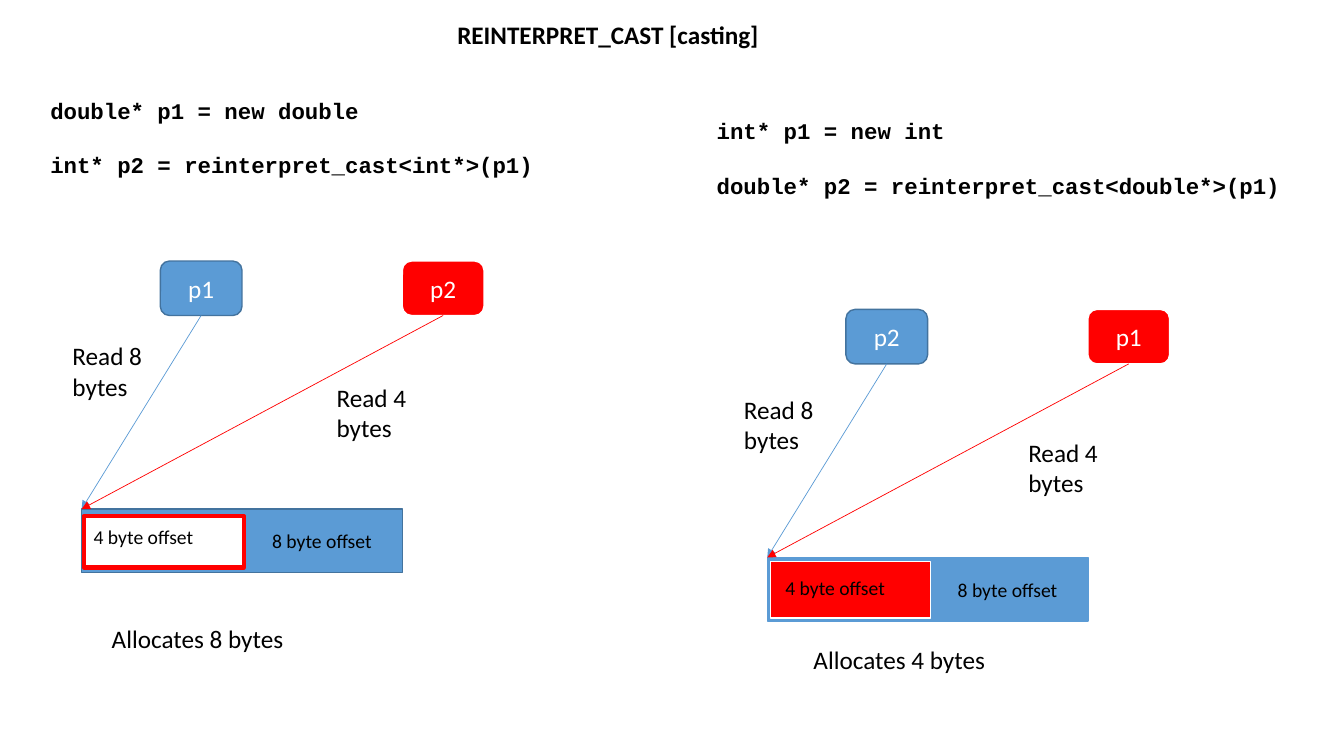
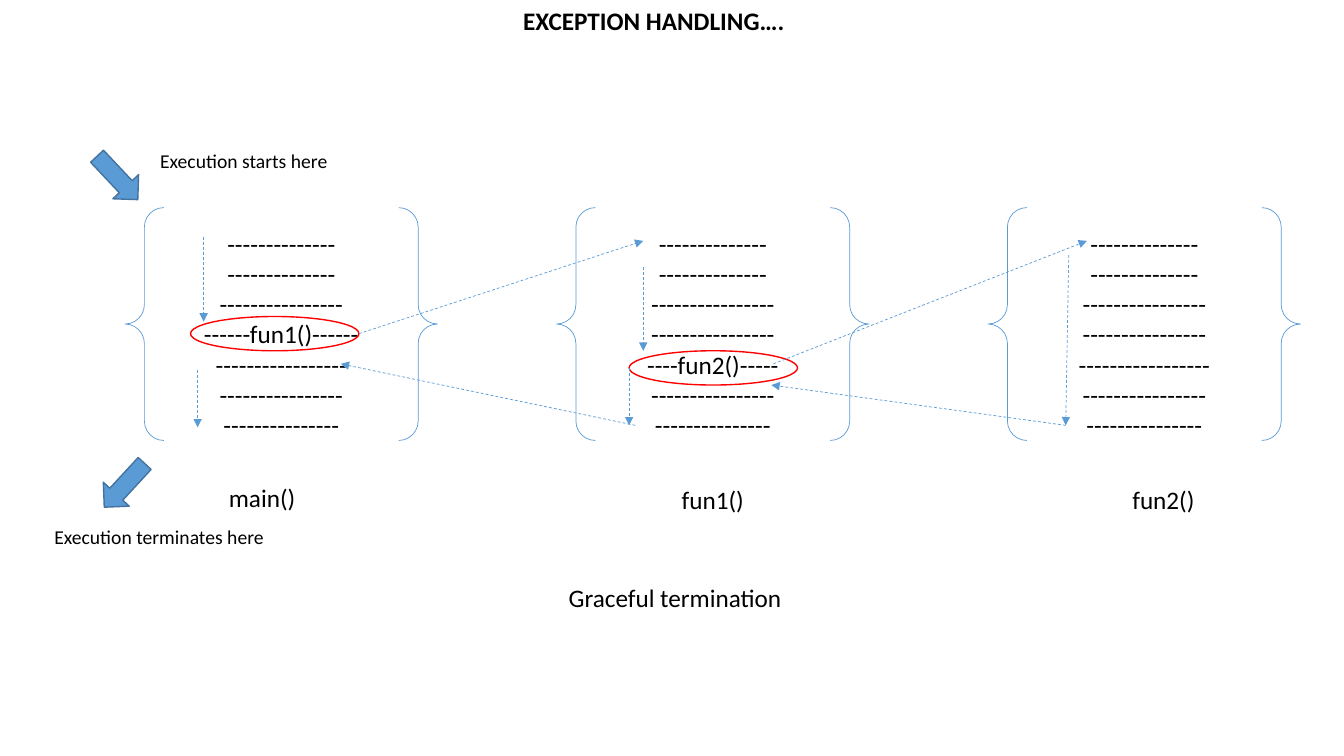
import pptx
import pptx.util
import pptx.dml.color
import pptx.enum.dml
import pptx.enum.shapes
import pptx.enum.text
import pptx.oxml
import pptx.oxml.ns
from dataclasses import dataclass
from pptx.util import Inches

SHAPE = pptx.enum.shapes.MSO_SHAPE
ALIGN = pptx.enum.text.PP_ALIGN
MIDDLE = pptx.enum.text.MSO_ANCHOR.MIDDLE
DASH = pptx.enum.dml.MSO_LINE.DASH


@dataclass(frozen=True)
class Theme:
    blue: str = "5B9BD5"
    navy: str = "43739E"
    red: str = "FF0000"
    white: str = "FFFFFF"
    black: str = "000000"
    body_font: str = "Calibri"
    code_font: str = "Courier New"
    body: int = 18
    code: int = 16
    small: int = 14
    code_gap: int = 20
    thin: float = 0.5
    outline: float = 1
    heavy: float = 3


THEME = Theme()

CAST_TITLE = ("REINTERPRET_CAST [casting]", (4.24, 0.14, 3.58, 0.4))
CASTS = [
    {
        "memory": (0.81, 5.05),
        "memory_outline": THEME.navy,
        "pointers": ("p1", "p2"),
        "code": ["double* p1 = new double", "int* p2 = reinterpret_cast<int*>(p1)"],
        "code_at": (0.4, 0.91),
        "window": (0.83, 5.12, 1.59, 0.51),
        "window_style": (THEME.white, THEME.red, THEME.heavy),
        "offset_at": (0.83, 5.16),
        "reads_at": [(0.62, 3.33), (3.24, 3.74)],
        "allocates": "Allocates 8 bytes",
        "allocates_at": (1.01, 6.13),
    },
    {
        "memory": (7.61, 5.53),
        "memory_outline": THEME.blue,
        "pointers": ("p2", "p1"),
        "code": ["int* p1 = new int", "double* p2 = reinterpret_cast<double*>(p1)"],
        "code_at": (7.01, 1.11),
        "window": (7.64, 5.57, 1.59, 0.56),
        "window_style": (THEME.red, THEME.white, THEME.outline),
        "offset_at": (7.69, 5.66),
        "reads_at": [(7.28, 3.86), (10.1, 4.29)],
        "allocates": "Allocates 4 bytes",
        "allocates_at": (7.97, 6.34),
    },
]
READS = ["Read 8 bytes", "Read 4 bytes"]
POINTER_STYLES = [(THEME.blue, THEME.navy), (THEME.red, THEME.white)]
POINTER_LEFT, POINTER_PITCH, POINTER_RISE = 0.78, 2.4, 2.46

EXCEPTION_TITLE = ("EXCEPTION HANDLING….", (4.22, 0, 4.53, 0.4))
FUNCTIONS = [
    ("main()", 4.74, {3: "------fun1()------"}),
    ("fun1()", 4.76, {4: "----fun2()-----"}),
    ("fun2()", 4.76, {}),
]
STATEMENT_DASHES = [14, 14, 16, 16, 17, 16, 15]
BRACE_LEFT, BRACE_PITCH = 1.24, 4.28
CAPTION_LEFT, CAPTION_PITCH = 2.02, 4.47
CALL_RINGS = [(1.89, 3.14), (6.24, 3.48)]
ENTRY_EXIT = [
    ((0.99, 1.47), 316.8, "Execution starts here", (1.49, 1.43, 1.93, 0.34)),
    ((1.06, 4.52), 42.7, "Execution terminates here", (0.44, 5.16, 2.28, 0.57)),
]
FLOW = [
    ((2.02, 2.35), (2.02, 3.19)),
    ((3.56, 3.31), (6.38, 2.39)),
    ((6.38, 2.65), (6.38, 3.48)),
    ((7.67, 3.61), (10.78, 2.39)),
    ((10.6, 2.53), (10.57, 4.22)),
    ((10.57, 4.22), (7.65, 3.82)),
    ((6.24, 3.65), (6.24, 4.22)),
    ((6.3, 4.22), (3.38, 3.61)),
    ((1.96, 3.67), (1.96, 4.24)),
]
OUTCOME = ("Graceful termination", (5.34, 5.73, 2.71, 0.4))


def rgb(value):
    return pptx.dml.color.RGBColor.from_string(value)


def inches(values):
    return [Inches(value) for value in values]


def write(frame, lines, size=THEME.body, color=THEME.black, font=THEME.body_font,
          bold=False, align=ALIGN.LEFT, gap=0):
    frame.word_wrap = True
    frame.text = "\n".join(lines)
    for paragraph in frame.paragraphs:
        paragraph.alignment = align
        paragraph.space_before = pptx.util.Pt(0)
        paragraph.space_after = pptx.util.Pt(gap)
        paragraph.font.size = pptx.util.Pt(size)
        paragraph.font.name = font
        paragraph.font.bold = bold
        paragraph.font.color.rgb = rgb(color)


def label(slide, lines, at, **style):
    write(slide.shapes.add_textbox(*inches(at)).text_frame, lines, **style)


def block(slide, kind, at, fill=None, line=THEME.navy, width=THEME.outline):
    shape = slide.shapes.add_shape(kind, *inches(at))
    shape.shadow.inherit = False
    if fill:
        shape.fill.solid()
        shape.fill.fore_color.rgb = rgb(fill)
    else:
        shape.fill.background()
    shape.line.color.rgb = rgb(line)
    shape.line.width = pptx.util.Pt(width)
    return shape


def arrow(slide, start, end, color=THEME.blue, dash=None):
    connector = slide.shapes.add_connector(
        pptx.enum.shapes.MSO_CONNECTOR.STRAIGHT, *inches(start + end))
    connector.line.color.rgb = rgb(color)
    connector.line.width = pptx.util.Pt(THEME.thin)
    if dash:
        connector.line.dash_style = dash
    properties = connector.element.spPr
    outline = properties.find(pptx.oxml.ns.qn("a:ln"))
    head = pptx.oxml.parse_xml(f'<a:tailEnd {pptx.oxml.ns.nsdecls("a")} type="triangle"/>')
    outline.append(head)
    properties.append(pptx.oxml.parse_xml(f'<a:effectLst {pptx.oxml.ns.nsdecls("a")}/>'))
    return connector


def titled_slide(deck, text, at):
    slide = deck.slides.add_slide(deck.slide_layouts[5])
    title = slide.shapes.title
    title.left, title.top, title.width, title.height = inches(at)
    write(title.text_frame, [text], bold=True, align=ALIGN.CENTER)
    title.text_frame.auto_size = pptx.enum.text.MSO_AUTO_SIZE.NONE
    title.text_frame.vertical_anchor = MIDDLE
    return slide


def draw_cast(slide, cast):
    left, top = cast["memory"]
    block(slide, SHAPE.RECTANGLE, (left, top, 3.18, 0.63), THEME.blue, cast["memory_outline"])
    for index, (name, (fill, line)) in enumerate(zip(cast["pointers"], POINTER_STYLES)):
        x, y = left + POINTER_LEFT + index * POINTER_PITCH, top - POINTER_RISE
        pointer = block(slide, SHAPE.ROUNDED_RECTANGLE, (x, y, 0.81, 0.54), fill, line)
        write(pointer.text_frame, [name], color=THEME.white, align=ALIGN.CENTER)
        pointer.text_frame.vertical_anchor = MIDDLE
        arrow(slide, (x, y), (left, top), fill).begin_connect(pointer, 2)
    block(slide, SHAPE.RECTANGLE, cast["window"], *cast["window_style"])
    label(slide, ["8 byte offset"], (left + 1.79, top + 0.15, 1.37, 0.34), size=THEME.small)
    label(slide, ["4 byte offset"], (*cast["offset_at"], 1.37, 0.34), size=THEME.small)
    label(slide, cast["code"], (*cast["code_at"], 5.91, 0.91), size=THEME.code,
          font=THEME.code_font, bold=True, gap=THEME.code_gap)
    for text, at in zip(READS, cast["reads_at"]):
        label(slide, [text], (*at, 1.09, 0.71))
    label(slide, [cast["allocates"]], (*cast["allocates_at"], 2.27, 0.4))


def draw_exceptions(slide):
    for index, (name, caption_top, calls) in enumerate(FUNCTIONS):
        braces = block(slide, SHAPE.DOUBLE_BRACE,
                       (BRACE_LEFT + index * BRACE_PITCH, 2.06, 3.1, 2.31),
                       line=THEME.blue, width=THEME.thin)
        statements = [calls.get(row, "-" * count) for row, count in enumerate(STATEMENT_DASHES)]
        write(braces.text_frame, statements, align=ALIGN.CENTER)
        braces.text_frame.vertical_anchor = MIDDLE
        label(slide, [name], (CAPTION_LEFT + index * CAPTION_PITCH, caption_top, 1.16, 0.4),
              align=ALIGN.CENTER)
    for at, angle, text, text_at in ENTRY_EXIT:
        block(slide, SHAPE.DOWN_ARROW, (*at, 0.35, 0.59), THEME.blue).rotation = angle
        label(slide, [text], text_at, size=THEME.small)
    for at in CALL_RINGS:
        block(slide, SHAPE.OVAL, (*at, 1.67, 0.34), line=THEME.red)
    for start, end in FLOW:
        arrow(slide, start, end, dash=DASH)
    text, at = OUTCOME
    label(slide, [text], at, align=ALIGN.CENTER)


def main():
    deck = pptx.Presentation()
    deck.slide_width, deck.slide_height = inches((13.33, 7.5))
    casting = titled_slide(deck, *CAST_TITLE)
    for cast in CASTS:
        draw_cast(casting, cast)
    draw_exceptions(titled_slide(deck, *EXCEPTION_TITLE))
    deck.save("out.pptx")


if __name__ == "__main__":
    main()
